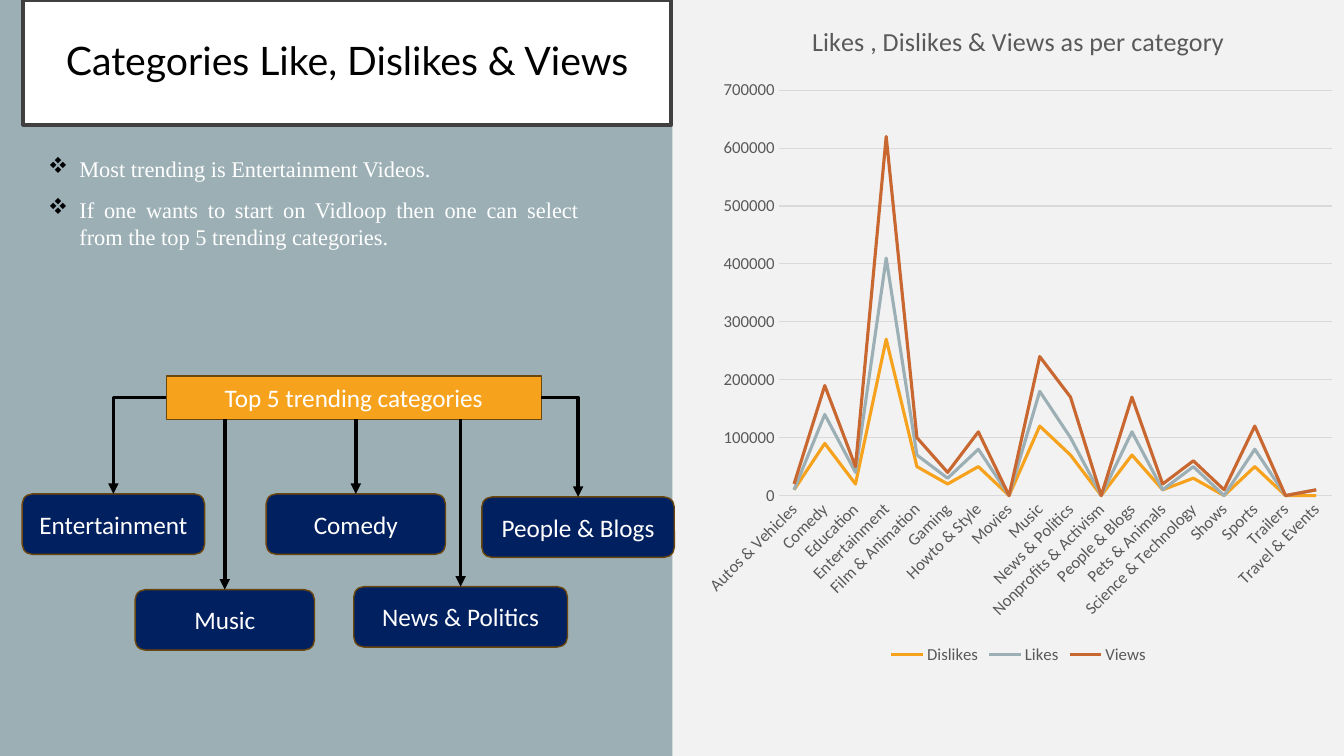
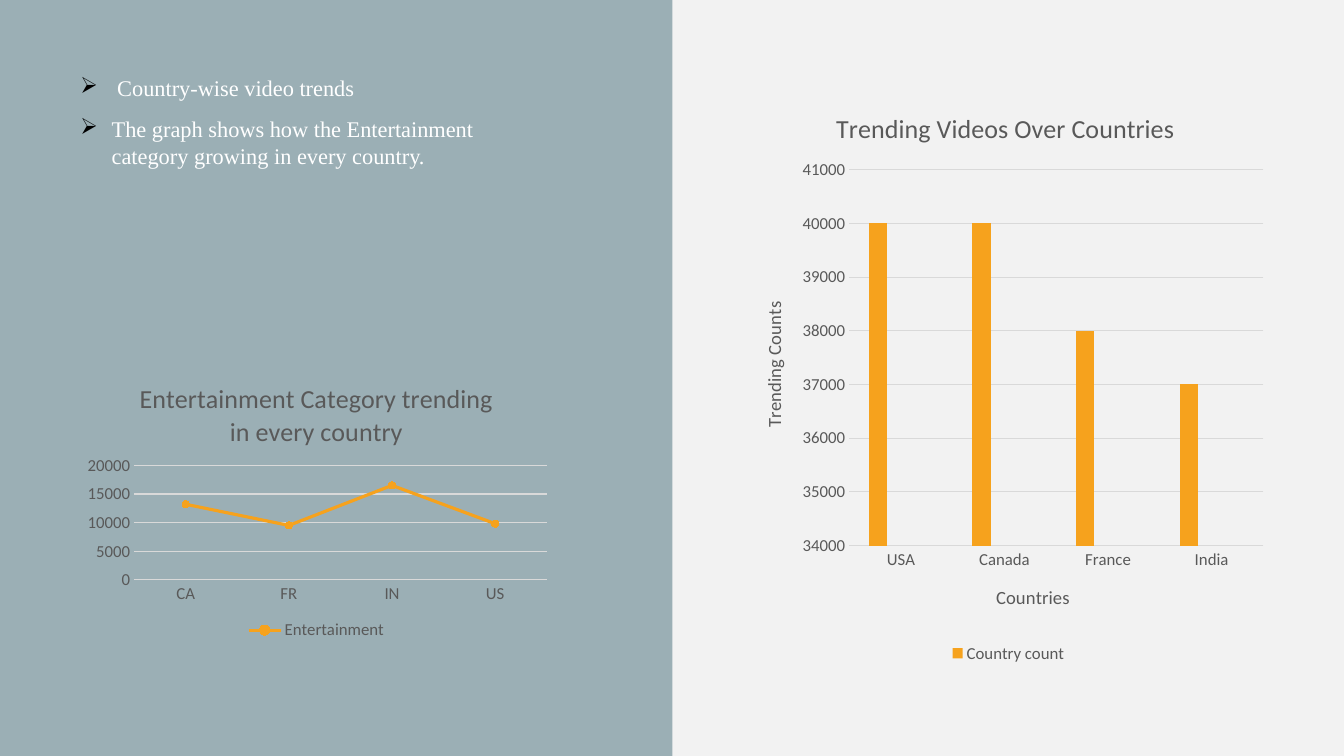
from lxml import etree
from pptx import Presentation
from pptx import util as u
from pptx.chart import data as cd
from pptx.dml import color
from pptx.enum import chart as ch, shapes, text
from pptx.oxml.ns import qn

COLORS = {
    "panel": "9BAFB5", "back": "F2F2F2", "white": "FFFFFF", "black": "000000",
    "frame": "404040", "orange": "F6A21D", "rust": "C96731", "navy": "002060",
    "edge": "6C470D", "gray": "595959", "grid": "D9D9D9",
}
SERIES_COLORS = ("orange", "panel", "rust")
SHAPE = shapes.MSO_SHAPE
TYPE = ch.XL_CHART_TYPE


def rgb(name):
    return color.RGBColor.from_string(COLORS[name])


def child(parent, tag, **attrs):
    return etree.SubElement(parent, qn(tag), attrs)


class Deck:
    """Hold the shared style and the slide being drawn."""

    def __init__(self):
        self.prs = Presentation()
        self.prs.slide_width = u.Inches(40 / 3)
        self.prs.slide_height = u.Inches(7.5)
        self.s = None

    def slide(self):
        self.s = self.prs.slides.add_slide(self.prs.slide_layouts[6])
        fill = self.s.background.fill
        fill.solid()
        fill.fore_color.rgb = rgb("back")
        self.box(SHAPE.RECTANGLE, (0, 0, 6.67, 7.5), "panel")

    def font(self, f, size, name="gray", face="Calibri"):
        f.size, f.name, f.bold = u.Pt(size), face, False
        f.color.rgb = rgb(name)

    def run(self, p, words, *style):
        r = p.add_run()
        r.text = words
        self.font(r.font, *style)

    def stroke(self, line, name, width):
        line.color.rgb = rgb(name)
        line.width = u.Pt(width)

    def box(self, kind, at, fill, line=None, width=1):
        sp = self.s.shapes.add_shape(kind, *map(u.Inches, at))
        sp.shadow.inherit = False
        sp.fill.solid()
        sp.fill.fore_color.rgb = rgb(fill)
        if line:
            self.stroke(sp.line, line, width)
        else:
            sp.line.fill.background()
        return sp

    def label(self, sp, words, *style):
        tf = sp.text_frame
        tf.word_wrap = True
        tf.vertical_anchor = text.MSO_ANCHOR.MIDDLE
        p = tf.paragraphs[0]
        p.alignment = text.PP_ALIGN.CENTER
        self.run(p, words, *style)
        return p

    def title(self, words):
        sp = self.box(SHAPE.RECTANGLE, (0.23, 0, 6.43, 1.24), "white", "frame", 2.5)
        tf = sp.text_frame
        tf.margin_left = tf.margin_right = u.Inches(0.2)
        tf.margin_top = tf.margin_bottom = u.Inches(0.2)
        self.label(sp, words, 28, "black", "Lato").line_spacing = 0.9

    def node(self, kind, at, fill, words):
        self.label(self.box(kind, at, fill, "edge"), words, 18, "white")

    def bullets(self, at, mark, lines, align):
        tf = self.s.shapes.add_textbox(*map(u.Inches, at)).text_frame
        tf.word_wrap = True
        for i, words in enumerate(lines):
            p = tf.add_paragraph() if i else tf.paragraphs[0]
            p.alignment = align
            p.space_before = u.Pt(10)
            pPr = p._p.get_or_add_pPr()
            pPr.set("marL", str(u.Inches(0.31)))
            pPr.set("indent", str(-u.Inches(0.31)))
            child(child(pPr, "a:buClr"), "a:srgbClr", val=COLORS["black"])
            child(pPr, "a:buFont", typeface="Wingdings", charset="2")
            child(pPr, "a:buChar", char=mark)
            self.run(p, words, 16, "white", "Times New Roman")

    def arrow(self, start, end):
        bent = start[0] != end[0]
        kind = shapes.MSO_CONNECTOR.ELBOW if bent else shapes.MSO_CONNECTOR.STRAIGHT
        c = self.s.shapes.add_connector(kind, *map(u.Inches, start + end))
        spPr = c._element.spPr
        if bent:
            spPr.find(qn("a:prstGeom")).set("prst", "bentConnector2")
        self.stroke(c.line, "black", 2.5)
        child(c.line._get_or_add_ln(), "a:tailEnd", type="triangle")
        child(spPr, "a:effectLst")

    def tree(self, hub, words, nodes):
        x, y, w, h = hub
        self.node(SHAPE.RECTANGLE, hub, "orange", words)
        for name, left, top, width in nodes:
            self.node(SHAPE.ROUNDED_RECTANGLE, (left, top, width, 0.6), "navy", name)
            mid = left + width / 2
            if x < mid < x + w:
                start = (mid, y + h)
            else:
                start = (x if mid < x else x + w, y + h / 2)
            self.arrow(start, (mid, top))

    def chart(self, kind, at, title, cats, series, scale, axis_titles=(None, None)):
        data = cd.CategoryChartData()
        data.categories = cats
        for name, values in series:
            data.add_series(name, values)
        c = self.s.shapes.add_chart(kind, *map(u.Inches, at), data).chart
        self.font(c.font, 12)
        c.has_title = True
        self.run(c.chart_title.text_frame.paragraphs[0], title, 18.6)
        c.has_legend = True
        c.legend.position = ch.XL_LEGEND_POSITION.BOTTOM
        c.legend.include_in_layout = False
        self.font(c.legend.font, 12)

        for axis, words in zip((c.category_axis, c.value_axis), axis_titles):
            axis.major_tick_mark = axis.minor_tick_mark = ch.XL_TICK_MARK.NONE
            self.font(axis.tick_labels.font, 12)
            if words:
                self.run(axis.axis_title.text_frame.paragraphs[0], words, 13.3)
        self.stroke(c.category_axis.format.line, "grid", 0.75)
        axis = c.value_axis
        axis.format.line.fill.background()
        axis.has_major_gridlines = True
        self.stroke(axis.major_gridlines.format.line, "grid", 0.75)
        axis.minimum_scale, axis.maximum_scale, axis.major_unit = scale

        plot = c.plots[0]
        plot.vary_by_categories = False
        for ser, name in zip(plot.series, SERIES_COLORS):
            if kind == TYPE.COLUMN_CLUSTERED:
                fills = [ser.format.fill]
            else:
                ser.smooth = False
                self.stroke(ser.format.line, name, 2.25)
                fills = []
                if kind == TYPE.LINE_MARKERS_STACKED:
                    ser.marker.style = ch.XL_MARKER_STYLE.CIRCLE
                    ser.marker.size = 5
                    self.stroke(ser.marker.format.line, name, 0.75)
                    fills = [ser.marker.format.fill]
            for fill in fills:
                fill.solid()
                fill.fore_color.rgb = rgb(name)
        return c

    def place_plot(self, c, *fractions):
        area = c._chartSpace.chart.plotArea
        for old in area.findall(qn("c:layout")):
            area.remove(old)
        layout = etree.Element(qn("c:layout"))
        area.insert(0, layout)
        manual = child(layout, "c:manualLayout")
        child(manual, "c:layoutTarget", val="inner")
        child(manual, "c:xMode", val="edge")
        child(manual, "c:yMode", val="edge")
        for key, value in zip("xywh", fractions):
            child(manual, "c:" + key, val=str(value))

    def hide_legend_entries(self, c, indexes):
        for i in sorted(indexes, reverse=True):
            entry = etree.Element(qn("c:legendEntry"))
            child(entry, "c:idx", val=str(i))
            child(entry, "c:delete", val="1")
            c.legend._element.insert(1, entry)


def category_slide(deck):
    deck.slide()
    deck.title("Categories Like, Dislikes & Views")
    cats = [
        "Autos & Vehicles", "Comedy", "Education", "Entertainment",
        "Film & Animation", "Gaming", "Howto & Style", "Movies", "Music",
        "News & Politics", "Nonprofits & Activism", "People & Blogs",
        "Pets & Animals", "Science & Technology", "Shows", "Sports",
        "Trailers", "Travel & Events",
    ]
    series = [
        ("Dislikes", [10000, 90000, 20000, 270000, 50000, 20000, 50000, 0, 120000,
                      70000, 0, 70000, 10000, 30000, 0, 50000, 0, 0]),
        ("Likes", [10000, 140000, 40000, 410000, 70000, 30000, 80000, 0, 180000,
                   100000, 0, 110000, 10000, 50000, 0, 80000, 0, 10000]),
        ("Views", [20000, 190000, 50000, 620000, 100000, 40000, 110000, 0, 240000,
                   170000, 0, 170000, 20000, 60000, 10000, 120000, 0, 10000]),
    ]
    c = deck.chart(TYPE.LINE, (6.87, 0, 6.47, 6.63),
                   "Likes , Dislikes & Views as per category",
                   cats, series, (0, 700000, 100000))
    body = c.category_axis._element.find(qn("c:txPr")).find(qn("a:bodyPr"))
    body.set("rot", str(-45 * 60000))
    deck.bullets((0.38, 1.49, 5.46, 1.85), "v", [
        "Most trending is Entertainment Videos.",
        "If one wants to start on Vidloop then one can select "
        "from the top 5 trending categories.",
    ], text.PP_ALIGN.JUSTIFY)
    deck.tree((1.65, 3.73, 3.72, 0.43), "Top 5 trending categories", [
        ("Entertainment", 0.22, 4.9, 1.81),
        ("Music", 1.34, 5.85, 1.78),
        ("Comedy", 2.64, 4.9, 1.78),
        ("News & Politics", 3.51, 5.82, 2.12),
        ("People & Blogs", 4.78, 4.93, 1.91),
    ])


def country_slide(deck):
    deck.slide()
    empty = [None] * 4
    c = deck.chart(TYPE.COLUMN_CLUSTERED, (7.37, 0.88, 5.27, 5.74),
                   "Trending Videos Over Countries ",
                   ["USA", "Canada", "France", "India"],
                   [("Country count", [40000, 40000, 38000, 37000]),
                    ("Series 2", empty), ("Series 3", empty)],
                   (34000, 41000, 1000), ("Countries", "Trending Counts"))
    c.plots[0].gap_width = 219
    c.plots[0].overlap = -27
    deck.place_plot(c, 0.2, 0.14, 0.78, 0.65)
    deck.hide_legend_entries(c, (1, 2))
    deck.bullets((0.7, 0.69, 4.4, 2.46), "Ø", [
        " Country-wise video trends",
        "The graph shows how the Entertainment category growing in every country.",
    ], text.PP_ALIGN.LEFT)
    c = deck.chart(TYPE.LINE_MARKERS_STACKED, (0.76, 3.62, 4.76, 2.77),
                   "Entertainment Category trending in every country",
                   ["CA", "FR", "IN", "US"],
                   [("Entertainment", [13200, 9500, 16500, 9800])], (0, 20000, 5000))
    deck.place_plot(c, 0.12, 0.36, 0.86, 0.41)


def main():
    deck = Deck()
    category_slide(deck)
    country_slide(deck)
    deck.prs.save("out.pptx")


if __name__ == "__main__":
    main()
